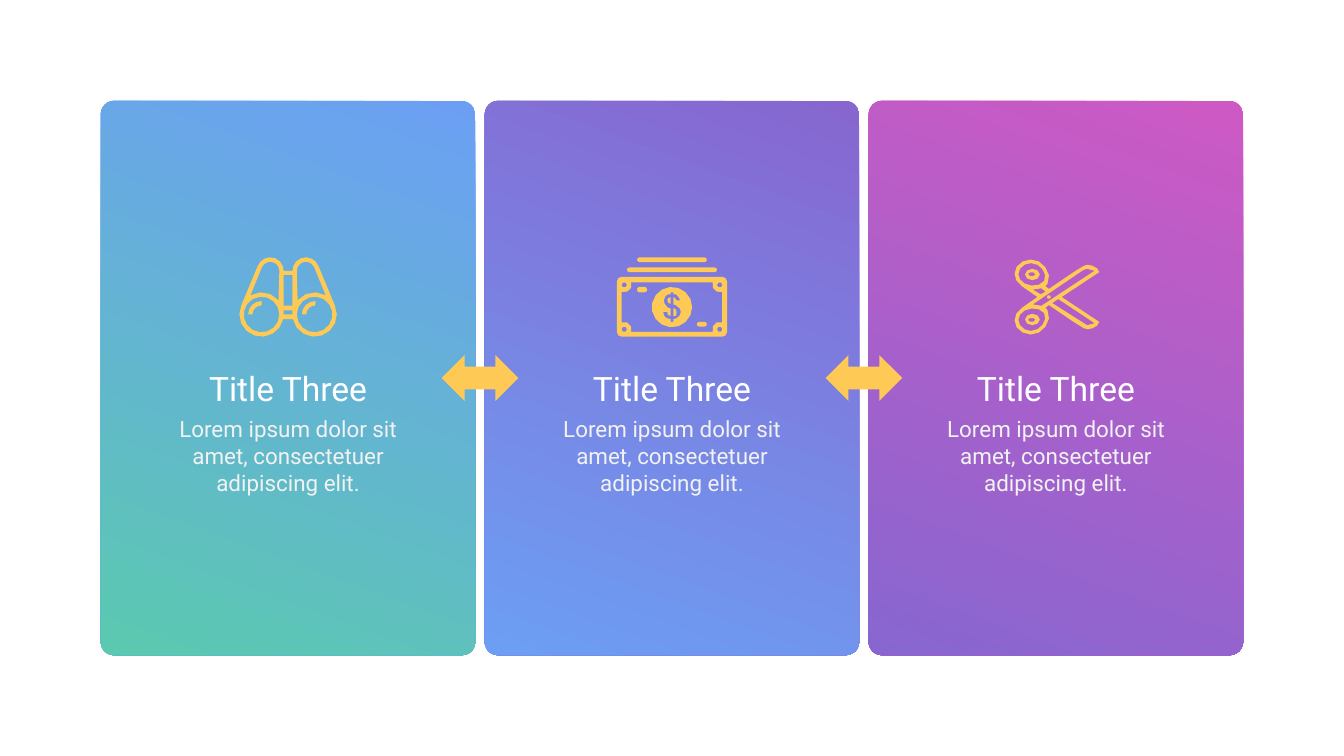
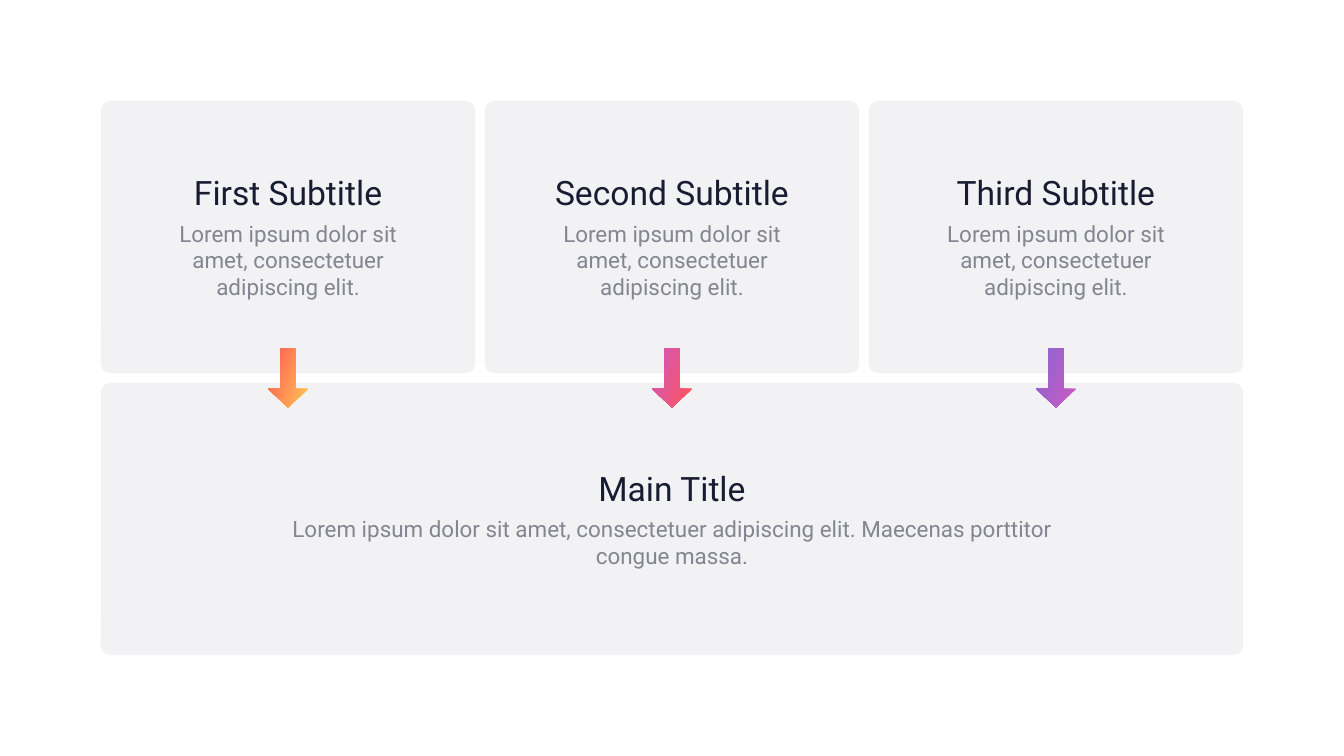
from dataclasses import dataclass
from math import cos, radians, sin

from lxml import etree
from pptx import Presentation
from pptx import util as u
from pptx.dml.color import RGBColor
from pptx.enum import shapes, text
from pptx.oxml import ns

# Colours and type
BLUE = RGBColor(0x6C, 0x9F, 0xF4)
GREEN = RGBColor(0x5B, 0xC9, 0xB0)
VIOLET = RGBColor(0x87, 0x66, 0xD0)
PINK = RGBColor(0xCE, 0x59, 0xC4)
RED = RGBColor(0xFF, 0x53, 0x55)
YELLOW = RGBColor(0xFF, 0xC9, 0x55)
WHITE = RGBColor(0xFF, 0xFF, 0xFF)
PALE = RGBColor(0xF2, 0xF2, 0xF2)
PANEL = RGBColor(0xF2, 0xF2, 0xF5)
NAVY = RGBColor(0x17, 0x1C, 0x30)
GREY = RGBColor(0x85, 0x85, 0x91)
FONT = "Roboto"
TITLE_SIZE, BODY_SIZE = 36, 24
LOREM = "Lorem ipsum dolor sit amet, consectetuer adipiscing elit."

# Grid: three columns and two rows inside an equal margin, in inches
SLIDE_W, SLIDE_H = 20, 11.25
MARGIN, GAP = 1.5, 0.14
COLUMNS, ROWS = 3, 2
COLUMN = (SLIDE_W - 2 * MARGIN - (COLUMNS - 1) * GAP) / COLUMNS
ROW = (SLIDE_H - 2 * MARGIN - (ROWS - 1) * GAP) / ROWS
MIDDLE = SLIDE_H / 2
ROUNDING = 0.036
GRADIENT_ANGLE = 250
TITLE_W, TITLE_H = 4.58, 0.71

Points = list[tuple[float, float]]


@dataclass(frozen=True)
class Box:
    left: float
    top: float
    width: float
    height: float

    @property
    def centre(self) -> float:
        return self.left + self.width / 2

    def emu(self) -> list[int]:
        return [u.Inches(v) for v in (self.left, self.top, self.width, self.height)]


@dataclass(frozen=True)
class Caption:
    title: str
    body: tuple[str, ...]
    centre: float
    top: float
    title_width: float
    body_width: float
    body_height: float
    colours: tuple[RGBColor, RGBColor]


@dataclass(frozen=True)
class Icon:
    width: float
    contours: list[Points]


def grid_box(column: int, row: int, columns: int = 1, rows: int = 1) -> Box:
    return Box(MARGIN + column * (COLUMN + GAP), MARGIN + row * (ROW + GAP),
               columns * (COLUMN + GAP) - GAP, rows * (ROW + GAP) - GAP)


def centred(x: float, y: float, width: float, height: float) -> Box:
    return Box(x - width / 2, y - height / 2, width, height)


# Drawing
def add_filled(slide, kind, box: Box, colours: tuple, adjustments=()):
    """Preset shape with one solid colour or a two-colour gradient."""
    shape = slide.shapes.add_shape(kind, *box.emu())
    for i, value in enumerate(adjustments):
        shape.adjustments[i] = value
    shape.shadow.inherit = False
    shape.line.fill.background()
    if len(colours) == 1:
        shape.fill.solid()
        shape.fill.fore_color.rgb = colours[0]
    else:
        shape.fill.gradient()
        shape.fill.gradient_angle = GRADIENT_ANGLE
        for stop, colour in zip(shape.fill.gradient_stops, colours):
            stop.color.rgb = colour
    return shape


def add_card(slide, box: Box, *colours: RGBColor) -> None:
    add_filled(slide, shapes.MSO_SHAPE.ROUNDED_RECTANGLE, box, colours, [ROUNDING])


def write(holder, box: Box, lines: tuple[str, ...], size: int, colour: RGBColor) -> None:
    holder.left, holder.top, holder.width, holder.height = box.emu()
    frame = holder.text_frame
    frame.text = "\n".join(lines)
    frame.word_wrap = True
    frame.vertical_anchor = text.MSO_ANCHOR.TOP
    frame.auto_size = text.MSO_AUTO_SIZE.SHAPE_TO_FIT_TEXT
    for paragraph in frame.paragraphs:
        properties = paragraph._p.get_or_add_pPr()
        properties.set("marL", "0")
        properties.set("indent", "0")
        etree.SubElement(properties, ns.qn("a:buNone"))
        paragraph.alignment = text.PP_ALIGN.CENTER
        paragraph.space_before = u.Pt(0)
        for run in paragraph.runs:
            run.font.name, run.font.size = FONT, u.Pt(size)
            run.font.color.rgb = colour


def add_caption(slide, caption: Caption, holders=None) -> None:
    """Title above body, in the given placeholders or in new text boxes."""
    c = caption
    title_box = Box(c.centre - c.title_width / 2, c.top, c.title_width, TITLE_H)
    body_box = Box(c.centre - c.body_width / 2, c.top + TITLE_H,
                   c.body_width, c.body_height)
    title, body = holders or [slide.shapes.add_textbox(*box.emu())
                              for box in (title_box, body_box)]
    write(title, title_box, (c.title,), TITLE_SIZE, c.colours[0])
    write(body, body_box, c.body, BODY_SIZE, c.colours[1])


def add_icon(slide, icon: Icon, centre: float, top: float) -> None:
    """One outline; nested contours alternate between filled and empty."""
    unit = u.Inches(0.01)
    first, *others = [[(x * unit, y * unit) for x, y in c] for c in icon.contours]
    builder = slide.shapes.build_freeform(*first[0])
    builder.add_line_segments(first[1:])
    for contour in others:
        builder.move_to(*contour[0])
        builder.add_line_segments(contour[1:])
    shape = builder.convert_to_shape(u.Inches(centre - icon.width / 200), u.Inches(top))
    shape.shadow.inherit = False
    shape.fill.solid()
    shape.fill.fore_color.rgb = YELLOW
    shape.line.fill.background()


# Outline helpers, in hundredths of an inch
def arc(x: float, y: float, r: float, start: float = 0, end: float = 360,
        ry: float | None = None) -> Points:
    """Points along an arc, fewer where the radius is small."""
    step = 60 if r < 6 else 45 if r < 12 else 24
    steps = max(1, round(abs(end - start) / step))
    angles = [radians(start + (end - start) * i / steps) for i in range(steps + 1)]
    return [(x + r * cos(a), y + (ry or r) * sin(a)) for a in angles]


def curve(*p: tuple[float, float], steps: int = 3) -> Points:
    """Chained cubic curves: a start, then two handles and an end each."""
    points = [p[0]]
    for k in range(0, len(p) - 1, 3):
        for t in (i / steps for i in range(1, steps + 1)):
            weights = ((1 - t) ** 3, 3 * t * (1 - t) ** 2, 3 * t * t * (1 - t), t ** 3)
            points.append(tuple(sum(w * q[axis] for w, q in zip(weights, p[k:k + 4]))
                                for axis in (0, 1)))
    return points


def rounded(left: float, top: float, right: float, bottom: float, r: float) -> Points:
    return (arc(left + r, top + r, r, 180, 270) + arc(right - r, top + r, r, 270, 360)
            + arc(right - r, bottom - r, r, 0, 90) + arc(left + r, bottom - r, r, 90, 180))


def flip_x(points: Points, width: float) -> Points:
    return [(width - x, y) for x, y in reversed(points)]


def flip_y(points: Points, height: float) -> Points:
    return [(x, height - y) for x, y in reversed(points)]


def binoculars() -> Icon:
    width = 147
    half = [(67, 92)] + arc(34, 85, 33, 12, 205) + arc(47, 20, 20, 200, 360)
    barrel = arc(34, 85, 33, 320, 240) + arc(47, 20, 13.5, 205, 360)
    lens = arc(34, 85, 26.5)
    bridges = [[(67, a), (80, a), (80, b), (67, b)] for a, b in ((26, 72), (79, 85))]
    glints = [arc(x, 85, 20, 180, 270) + arc(x, 85, 13.5, 270, 180) for x in (34, 114)]
    return Icon(width, [half + flip_x(half, width), barrel, flip_x(barrel, width),
                        lens, flip_x(lens, width), *bridges, *glints])


def banknotes() -> Icon:
    corners = ((153, 41, 200), (153, 107, 290), (11, 107, 20), (11, 41, 110))
    window = [p for x, y, a in corners for p in arc(x, y, 11, a, a - 130)]
    bars = [(30, 0, 134, 7), (15, 15, 149, 22), (30, 44, 45, 52), (119, 96, 134, 103)]
    dollar = [(94, 86), (91, 89), (88, 91), (84, 92), (84, 96), (80, 96), (80, 92),
              (76, 91), (72, 89), (70, 86), (69, 81), (75, 81), (76, 86), (80, 87),
              (80, 76), (76, 75), (71, 69), (70, 64), (71, 61), (73, 57), (76, 55),
              (80, 55), (80, 52), (84, 52), (84, 55), (88, 55), (90, 57), (93, 61),
              (94, 64), (89, 64), (87, 61), (84, 59), (84, 70), (88, 71), (91, 74),
              (94, 76), (95, 81)]
    lower_bowl = [(88, 78), (86, 76), (84, 76), (84, 87), (88, 87), (89, 82)]
    upper_bowl = [(75, 64), (77, 68), (80, 69), (80, 59), (76, 61)]
    return Icon(164, [rounded(0, 29, 164, 118, 7), window,
                      *[rounded(*bar, 3.5) for bar in bars],
                      *[arc(x, y, 4) for x, y, _ in corners],
                      arc(82, 74, 30), dollar, lower_bowl, upper_bowl])


def scissors() -> Icon:
    height = 118
    blade = curve((129, 22), (129, 16), (118, 11), (112, 11),
                  (107, 11), (105, 12), (54, 47))
    handle = curve((49, 43), (50, 41), (52, 40), (52, 39), (59, 28), (50, 12), (39, 6),
                   (27, 0), (13, 4), (6, 14), (0, 24), (3, 36), (14, 43))
    half = [(73, 59)] + blade + handle + [(37, 59)]
    ring = curve((18, 39), (9, 34), (6, 25), (11, 17), (17, 9), (27, 6), (37, 11),
                 (45, 15), (52, 27), (47, 35), (42, 43), (27, 44), (18, 39))
    finger = [ring, arc(29.5, 25.5, 11, ry=8.5), arc(28.5, 25, 5.5, ry=3)]
    gaps = [[(30, 48), (43, 46), (49, 51), (42, 55)],
            [(43, 72), (30, 70), (105, 19), (111, 17), (122, 20)],
            [(122, 98), (111, 101), (59, 68), (68, 62)]]
    return Icon(129, [half + flip_y(half, height), *finger,
                      *[flip_y(c, height) for c in finger], *gaps, arc(54, 59, 3)])


# Slides
def build_linked_cards(prs) -> None:
    slide = prs.slides.add_slide(prs.slide_layouts[6])
    cards = [(BLUE, GREEN, binoculars()), (VIOLET, BLUE, banknotes()),
             (PINK, VIOLET, scissors())]
    boxes = [grid_box(i, 0, rows=ROWS) for i in range(COLUMNS)]
    for box, (top_colour, bottom_colour, _) in zip(boxes, cards):
        add_card(slide, box, top_colour, bottom_colour)
    for box in boxes[1:]:
        add_filled(slide, shapes.MSO_SHAPE.LEFT_RIGHT_ARROW,
                   centred(box.left - GAP / 2, MIDDLE, 1.14, 0.68), (YELLOW,))
    for box, (_, _, icon) in zip(boxes, cards):
        add_caption(slide, Caption("Title Three", (LOREM,), box.centre, 5.42,
                                   TITLE_W, 3.71, 1.31, (WHITE, PALE)))
        add_icon(slide, icon, box.centre, 3.83)


def build_summary(prs) -> None:
    slide = prs.slides.add_slide(prs.slide_layouts[1])
    subtitles = [("First Subtitle", YELLOW, RED), ("Second Subtitle", RED, PINK),
                 ("Third Subtitle", PINK, VIOLET)]
    holders = list(slide.placeholders)
    boxes = [grid_box(i, 0) for i in range(COLUMNS)]
    main_box = grid_box(0, 1, columns=COLUMNS)
    for box in (*boxes, main_box):
        add_card(slide, box, PANEL)
    for box, (subtitle, _, _) in zip(boxes, subtitles):
        add_caption(slide, Caption(subtitle, (LOREM,), box.centre, 2.51,
                                   TITLE_W, 4.29, 0.91, (NAVY, GREY)))
    # The placeholders come first in the tree, so lift them above the panels
    for holder in holders:
        slide.shapes._spTree.append(holder._element)
    add_caption(slide, Caption("Main Title",
                               (LOREM + " Maecenas porttitor", "congue massa."),
                               main_box.centre, 6.91, 13.27, 13.27, 0.91,
                               (NAVY, GREY)), holders)
    for box, (_, *colours) in zip(boxes, subtitles):
        arrow = add_filled(slide, shapes.MSO_SHAPE.RIGHT_ARROW,
                           centred(box.centre, MIDDLE, 0.88, 0.59), colours,
                           [0.38, 0.47])
        arrow.rotation = 90


def main() -> None:
    prs = Presentation()
    prs.slide_width, prs.slide_height = u.Inches(SLIDE_W), u.Inches(SLIDE_H)
    build_linked_cards(prs)
    build_summary(prs)
    prs.save("out.pptx")


if __name__ == "__main__":
    main()
